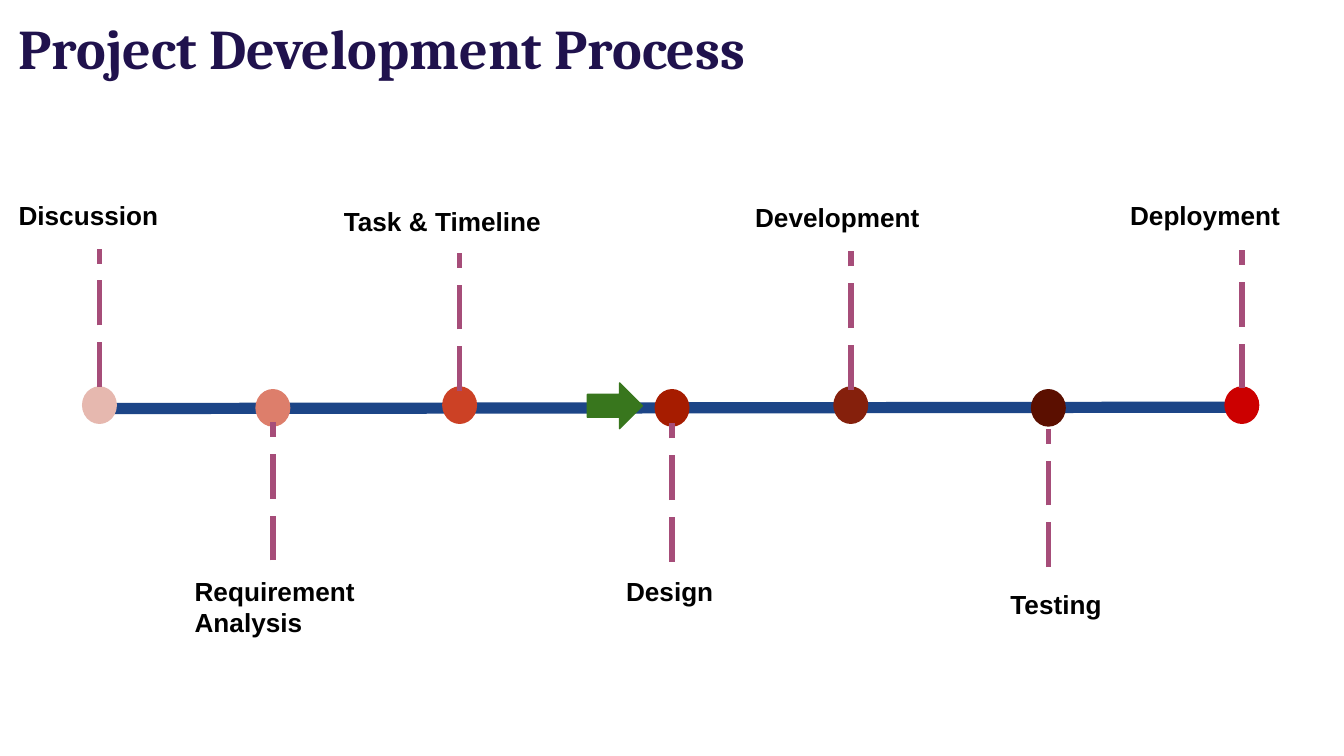
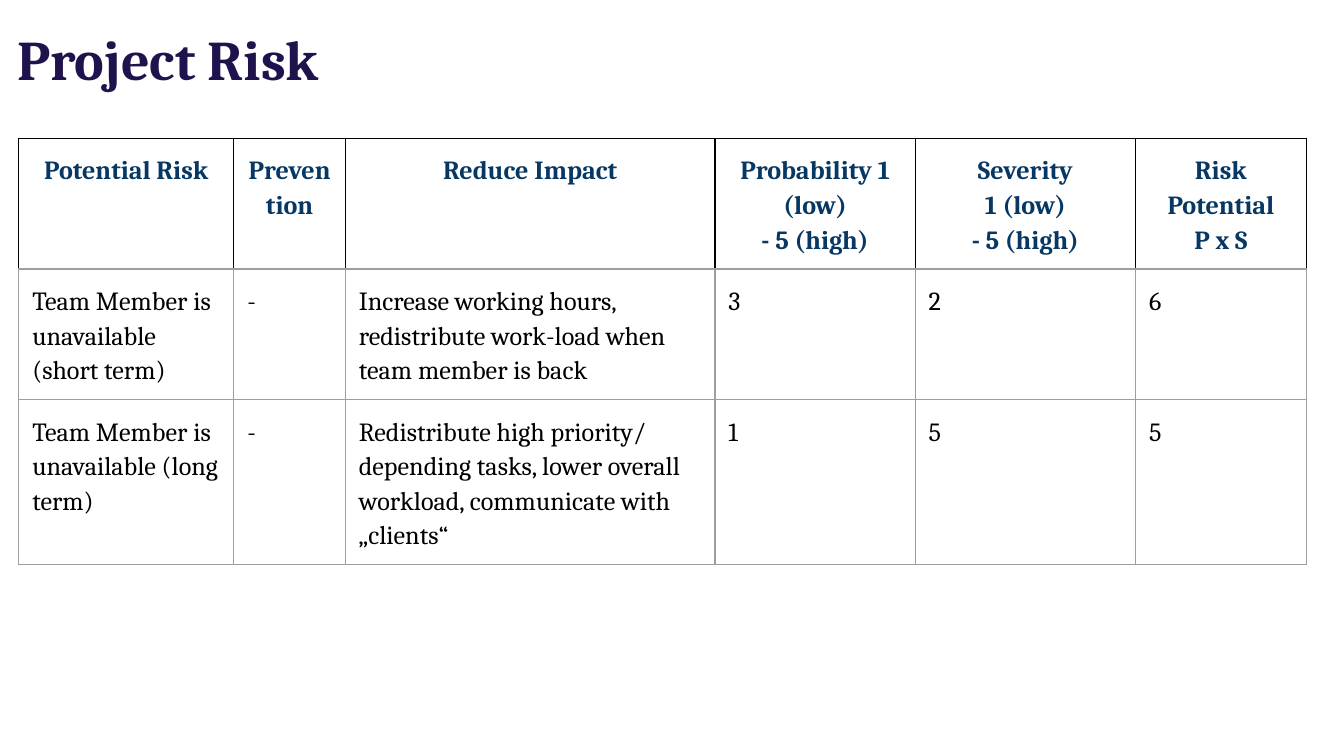
from collections import namedtuple

from lxml.etree import SubElement
from pptx import Presentation
from pptx.dml.color import RGBColor
from pptx.enum.dml import MSO_LINE
from pptx.enum.shapes import MSO_CONNECTOR, MSO_SHAPE
from pptx.enum.text import PP_ALIGN
from pptx.oxml.ns import qn
from pptx.util import Inches, Pt

BLACK = RGBColor(0x00, 0x00, 0x00)
TITLE_COLOR = RGBColor(0x20, 0x12, 0x4D)
AXIS_COLOR = RGBColor(0x1C, 0x45, 0x87)
STEM_COLOR = RGBColor(0xA6, 0x4D, 0x79)
ARROW_COLOR = RGBColor(0x38, 0x76, 0x1D)
HEADER_COLOR = RGBColor(0x07, 0x37, 0x63)
GRID_COLOR = RGBColor(0x9E, 0x9E, 0x9E)

SLIDE_WIDTH = 10
SLIDE_HEIGHT = SLIDE_WIDTH * 9 / 16

TITLE_FONT = "Cambria"
LABEL_FONT = "Arial"
PADDING = Inches(0.1)

DOT_WIDTH, DOT_HEIGHT = 0.25, 0.27
STEM_LENGTH = 1.03

# Positions are inches from the top left corner of the timeline.
Milestone = namedtuple("Milestone", "name color x dot_top stem_bottom label_box")
MILESTONES = [
    Milestone("Discussion", RGBColor(0xE6, 0xB8, 0xAF), 0.70, 1.50, 1.50, (0, 0, 1.5, 0.42)),
    Milestone("Requirement Analysis", RGBColor(0xDD, 0x7E, 0x6B), 1.99, 1.52, 2.79,
              (1.31, 2.80, 1.5, 0.78)),
    Milestone("Task & Timeline", RGBColor(0xCC, 0x41, 0x25), 3.38, 1.50, 1.53,
              (2.42, 0.05, 1.85, 0.42)),
    Milestone("Design", RGBColor(0xA6, 0x1C, 0x00), 4.96, 1.52, 2.80, (4.52, 2.80, 1.2, 0.42)),
    Milestone("Development", RGBColor(0x85, 0x20, 0x0C), 6.29, 1.50, 1.52,
              (5.48, 0.02, 1.85, 0.42)),
    Milestone("Testing", RGBColor(0x5B, 0x0F, 0x00), 7.76, 1.52, 2.84, (7.38, 2.90, 1.5, 0.42)),
    Milestone("Deployment", RGBColor(0xCC, 0x00, 0x00), 9.20, 1.50, 1.51, (8.27, 0, 1.85, 0.42)),
]

RISK_COLUMNS = [1.6, 0.83, 2.75, 1.49, 1.64, 1.27]
RISK_ROW_HEIGHT = 0.42
RISK_ROWS = [
    ["Potential Risk", "Prevention", "Reduce Impact", "Probability 1 (low)\n- 5 (high)",
     "Severity\n1 (low)\n- 5 (high)", "Risk Potential\nP x S"],
    ["Team Member is unavailable (short term)", "-",
     "Increase working hours,\nredistribute work-load when team member is back", "3", "2", "6"],
    ["Team Member is unavailable (long term)", "-",
     "Redistribute high priority/ depending tasks, lower overall workload, "
     "communicate with „clients“", "1", "5", "5"],
]


def style_font(paragraph, name, size, color, bold):
    for run in paragraph.runs:
        run.font.name = name
        run.font.size = Pt(size)
        run.font.bold = bold
        run.font.color.rgb = color


def set_padding(holder):
    """Give a text frame or a table cell the same margin on all sides."""
    holder.margin_left = holder.margin_right = PADDING
    holder.margin_top = holder.margin_bottom = PADDING


def add_text(slide, text, left, top, width, height, font, size, color):
    shape = slide.shapes.add_textbox(Inches(left), Inches(top), Inches(width), Inches(height))
    text_frame = shape.text_frame
    text_frame.word_wrap = True
    set_padding(text_frame)
    text_frame.text = text
    style_font(text_frame.paragraphs[0], font, size, color, True)


def add_title(slide, text, left, top, width, height):
    add_text(slide, text, left, top, width, height, TITLE_FONT, 30, TITLE_COLOR)


def add_filled_shape(slide, kind, left, top, width, height, color):
    shape = slide.shapes.add_shape(
        kind, Inches(left), Inches(top), Inches(width), Inches(height))
    shape.shadow.inherit = False
    shape.fill.solid()
    shape.fill.fore_color.rgb = color
    shape.line.color.rgb = color
    shape.line.width = Pt(0.75)


def add_line(slide, start, end, color, width, dash=None):
    connector = slide.shapes.add_connector(
        MSO_CONNECTOR.STRAIGHT, *[Inches(value) for value in (*start, *end)])
    connector.line.color.rgb = color
    connector.line.width = Pt(width)
    if dash:
        connector.line.dash_style = dash
    SubElement(connector.element.spPr, qn("a:effectLst"))


def add_timeline(slide, left, top):
    add_line(slide, (left + 0.64, top + 1.66), (left + 9.13, top + 1.65), AXIS_COLOR, 6)
    for milestone in MILESTONES:
        add_filled_shape(slide, MSO_SHAPE.OVAL, left + milestone.x - DOT_WIDTH / 2,
                         top + milestone.dot_top, DOT_WIDTH, DOT_HEIGHT, milestone.color)
    for milestone in MILESTONES:
        x = left + milestone.x
        bottom = top + milestone.stem_bottom
        add_line(slide, (x, bottom), (x, bottom - STEM_LENGTH),
                 STEM_COLOR, 3, MSO_LINE.LONG_DASH)
        label_left, label_top, width, height = milestone.label_box
        add_text(slide, milestone.name, left + label_left, top + label_top,
                 width, height, LABEL_FONT, 14, BLACK)
    add_filled_shape(slide, MSO_SHAPE.RIGHT_ARROW, left + 4.33, top + 1.47,
                     0.41, 0.34, ARROW_COLOR)


def set_borders(cell, side_color):
    """Draw the four sides; the bottom is always in the grid colour."""
    properties = cell._tc.get_or_add_tcPr()
    sides = {"L": side_color, "R": side_color, "T": side_color, "B": GRID_COLOR}
    for side, color in sides.items():
        line = SubElement(properties, qn(f"a:ln{side}"), w=str(Pt(0.75)))
        fill = SubElement(line, qn("a:solidFill"))
        SubElement(fill, qn("a:srgbClr"), val=str(color))


def fill_cell(cell, text, is_header):
    set_borders(cell, BLACK if is_header else GRID_COLOR)
    cell.fill.background()
    set_padding(cell)
    cell.text_frame.text = text
    for paragraph in cell.text_frame.paragraphs:
        paragraph.alignment = PP_ALIGN.CENTER if is_header else PP_ALIGN.LEFT
        paragraph.line_spacing = 1.15
        style_font(paragraph, TITLE_FONT, 14, HEADER_COLOR if is_header else BLACK, is_header)


def add_risk_table(slide, left, top):
    frame = slide.shapes.add_table(
        len(RISK_ROWS), len(RISK_COLUMNS), Inches(left), Inches(top),
        Inches(sum(RISK_COLUMNS)), Inches(RISK_ROW_HEIGHT * len(RISK_ROWS)))
    table = frame.table
    table.first_row = table.horz_banding = False
    for column, width in zip(table.columns, RISK_COLUMNS):
        column.width = Inches(width)
    for row_index, texts in enumerate(RISK_ROWS):
        for column_index, text in enumerate(texts):
            fill_cell(table.cell(row_index, column_index), text, row_index == 0)


def add_process_slide(presentation):
    slide = presentation.slides.add_slide(presentation.slide_layouts[6])
    add_timeline(slide, 0.04, 1.38)
    add_title(slide, "Project Development Process", 0.04, 0, 7.62, 0.94)


def add_risk_slide(presentation):
    slide = presentation.slides.add_slide(presentation.slide_layouts[6])
    add_risk_table(slide, 0.14, 1.03)
    add_title(slide, "Project Risk", 0.03, 0.08, 4.32, 0.75)


def main():
    presentation = Presentation()
    presentation.slide_width = Inches(SLIDE_WIDTH)
    presentation.slide_height = Inches(SLIDE_HEIGHT)
    add_process_slide(presentation)
    add_risk_slide(presentation)
    presentation.save("out.pptx")


if __name__ == "__main__":
    main()
